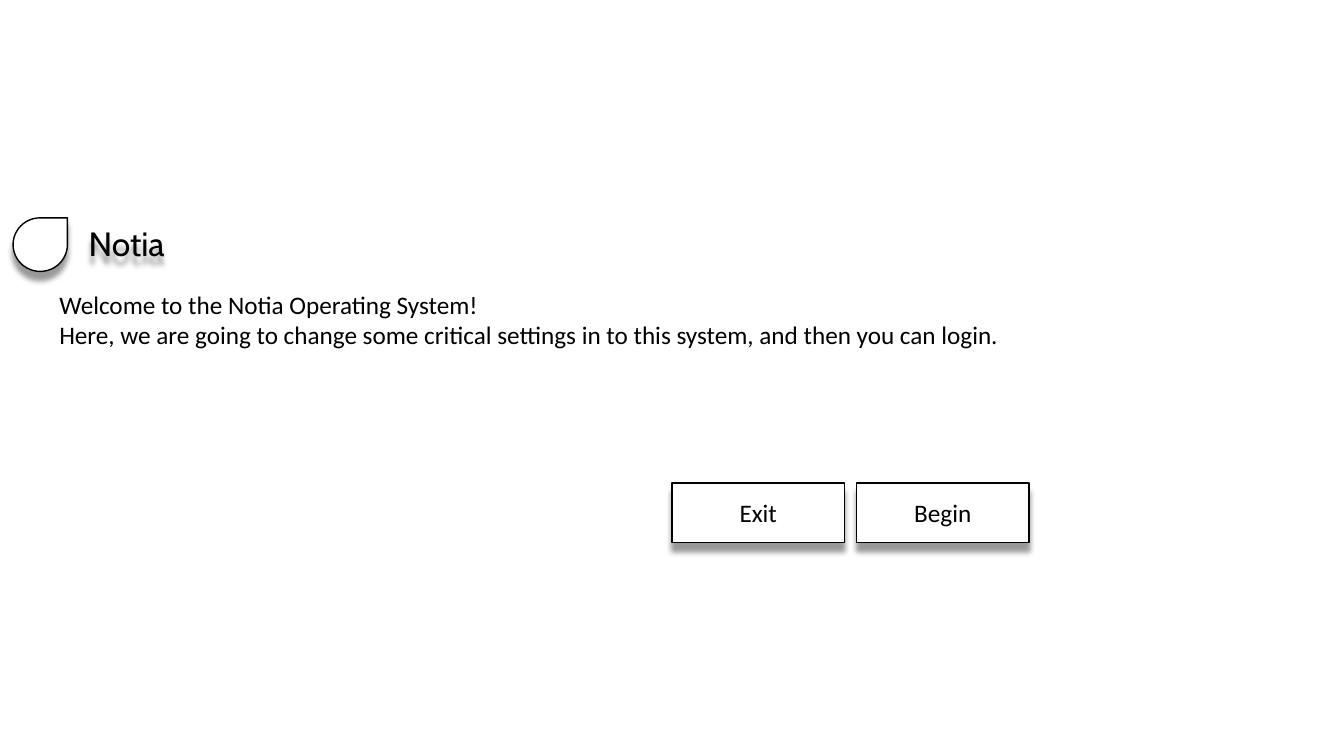
from lxml import etree
from pptx import Presentation
from pptx.dml.color import RGBColor
from pptx.enum.shapes import MSO_SHAPE
from pptx.enum.text import MSO_ANCHOR, MSO_AUTO_SIZE, PP_ALIGN
from pptx.oxml.ns import qn
from pptx.util import Cm, Pt

RECT, TEAR = MSO_SHAPE.RECTANGLE, MSO_SHAPE.TEAR
LEFT, CENTER = PP_ALIGN.LEFT, PP_ALIGN.CENTER
TOP, MIDDLE = MSO_ANCHOR.TOP, MSO_ANCHOR.MIDDLE
GROW = MSO_AUTO_SIZE.SHAPE_TO_FIT_TEXT
WHITE = RGBColor(0xFF, 0xFF, 0xFF)
BLACK = RGBColor(0x00, 0x00, 0x00)

HEAD = {"name": "Cabin", "size": Pt(24)}
TEXT = {"name": "Calibri", "size": Pt(18)}
GREET = [
    "Welcome to the Notia Operating System!",
    "Here, we are going to change some critical settings in to this system, "
    "and then you can login.",
]


def apply(item, form):
    """Set each attribute in form on item."""
    for key, value in form.items():
        setattr(item, key, value)


def place(item, box):
    """Move item to a box given in centimetres."""
    apply(item, dict(zip(("left", "top", "width", "height"), map(Cm, box))))


def shade(shape):
    """Cast a soft black shadow straight down."""
    shape.shadow.inherit = False
    effects = shape._element.spPr.find(qn("a:effectLst"))
    outer = etree.SubElement(effects, qn("a:outerShdw"), blurRad=str(Pt(4)),
                             dist=str(Pt(6)), dir="5400000", algn="t", rotWithShape="0")
    color = etree.SubElement(outer, qn("a:srgbClr"), val=str(BLACK))
    etree.SubElement(color, qn("a:alpha"), val="40000")


def write(shape, lines, form, align, anchor):
    """Fill shape with unbulleted lines of text."""
    frame = shape.text_frame
    apply(frame, {"text": "\n".join(lines), "word_wrap": True, "vertical_anchor": anchor})
    for para in frame.paragraphs:
        props = para._p.get_or_add_pPr()
        apply(para, {"alignment": align, "space_before": Pt(0)})
        props.set("marL", "0")
        props.set("indent", "0")
        etree.SubElement(props, qn("a:buNone"))
        apply(para.font, form)
        para.font.color.rgb = BLACK


def tile(slide, kind, box):
    """Add a white shape with a black outline and a shadow."""
    shape = slide.shapes.add_shape(kind, *map(Cm, box))
    shape.fill.solid()
    shape.fill.fore_color.rgb = WHITE
    shape.line.color.rgb = BLACK
    shape.line.width = Pt(1)
    shade(shape)
    return shape


def panel(slide, box):
    """Lay a translucent white band behind everything."""
    band = slide.shapes.add_shape(RECT, *map(Cm, box))
    band.shadow.inherit = False
    band.fill.solid()
    band.fill.fore_color.rgb = WHITE
    band.line.fill.background()
    color = band._element.spPr.find(qn("a:solidFill"))[0]
    etree.SubElement(color, qn("a:alpha"), val="68000")
    slide.shapes.title._element.addprevious(band._element)


def header(slide, box):
    """Set the drop mark and the system name side by side."""
    left, top, width, height = box
    tile(slide, TEAR, (left, top, 1.37, height))
    title = slide.shapes.title
    place(title, (left + 1.65, top, width - 1.65, 1.27))
    write(title, ["Notia"], HEAD, LEFT, TOP)
    title.text_frame.auto_size = GROW
    shade(title)


def body(slide, box):
    """Put the greeting in the body placeholder."""
    greet = slide.placeholders[1]
    place(greet, box)
    write(greet, GREET, TEXT, LEFT, TOP)
    greet.text_frame.auto_size = GROW


def buttons(slide, box, labels, gap=0.31):
    """Share the box evenly among the buttons."""
    left, top, width, height = box
    step = (width + gap) / len(labels)
    for i, label in enumerate(labels):
        button = tile(slide, RECT, (left + i * step, top, step - gap, height))
        write(button, [label], TEXT, CENTER, MIDDLE)


def welcome(deck, box):
    """Build the welcome slide inside the band's box."""
    slide = deck.slides.add_slide(deck.slide_layouts[1])
    left, top, width, height = box
    panel(slide, box)
    header(slide, (left + 0.33, top + 0.33, 12.11, 1.35))
    body(slide, (left + 1.24, top + 2, 30.1, 1.8))
    buttons(slide, (left + 16.94, top + 7.01, 8.99, 1.5), ["Exit", "Begin"])


def main():
    """Make and save the deck."""
    deck = Presentation()
    apply(deck, {"slide_width": Cm(33.87), "slide_height": Cm(19.05)})
    welcome(deck, (0, 5.16, 33.87, 8.79))
    deck.save("out.pptx")


if __name__ == "__main__":
    main()
